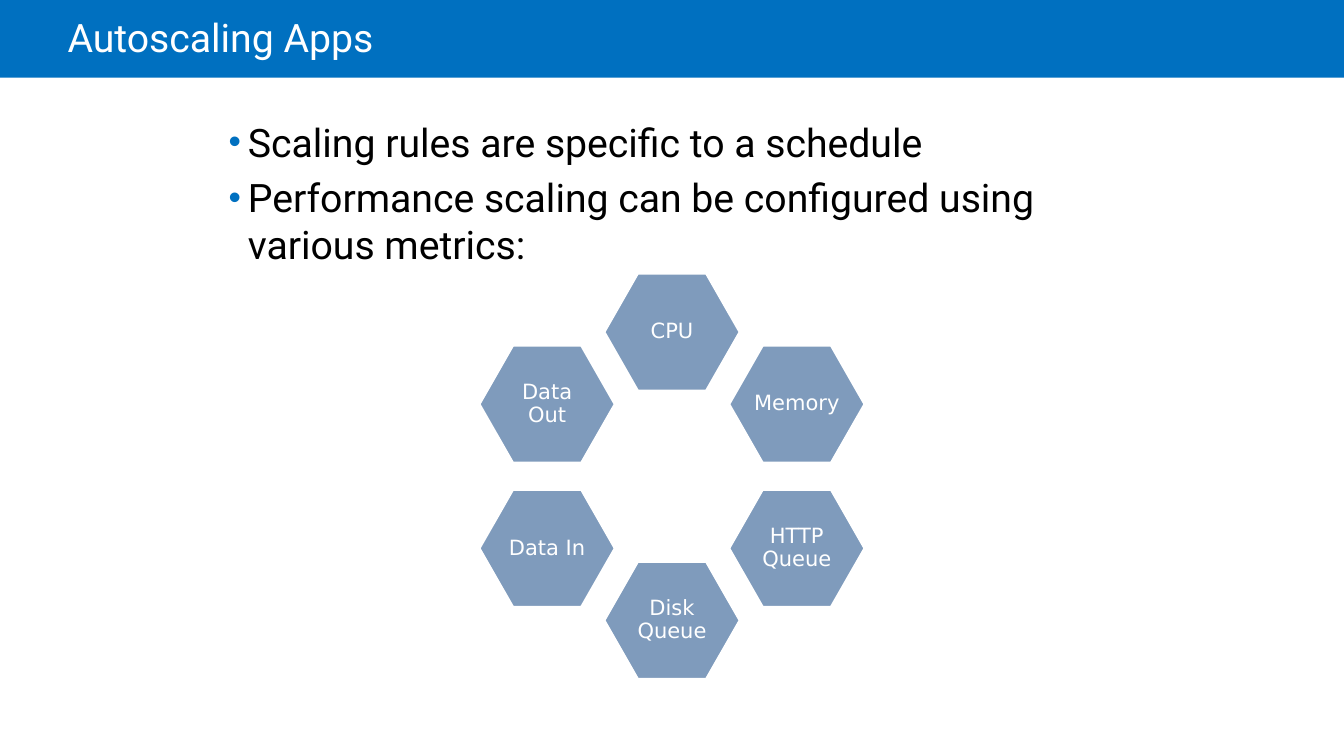
import math

from lxml import etree
from pptx import Presentation
from pptx.dml.color import RGBColor
from pptx.enum.shapes import MSO_SHAPE
from pptx.enum.text import MSO_ANCHOR, PP_ALIGN
from pptx.oxml.ns import qn
from pptx.util import Inches, Pt

RECTANGLE = MSO_SHAPE.RECTANGLE
HEXAGON = MSO_SHAPE.HEXAGON
MIDDLE = MSO_ANCHOR.MIDDLE
CENTER = PP_ALIGN.CENTER

BLUE = RGBColor(0x00, 0x70, 0xC0)
STEEL = RGBColor(0x7F, 0x9B, 0xBC)
WHITE = RGBColor(0xFF, 0xFF, 0xFF)
BLACK = RGBColor(0x00, 0x00, 0x00)

SLIDE_WIDTH, SLIDE_HEIGHT = 13.33, 7.5
RULES = [
    "Scaling rules are specific to a schedule",
    "Performance scaling can be configured using various metrics:",
]
METRICS = ["CPU", "Memory", "HTTP Queue", "Disk Queue", "Data In", "Data Out"]


def add_run(paragraph, text, size, font_name, color):
    run = paragraph.add_run()
    run.text = text
    run.font.size = Pt(size)
    run.font.name = font_name
    run.font.color.rgb = color


def set_margins(frame, left, top, right, bottom):
    frame.margin_left, frame.margin_top = Inches(left), Inches(top)
    frame.margin_right, frame.margin_bottom = Inches(right), Inches(bottom)


def add_filled(slide, preset, left, top, width, height, color):
    shape = slide.shapes.add_shape(
        preset, Inches(left), Inches(top), Inches(width), Inches(height))
    shape.shadow.inherit = False
    shape.fill.solid()
    shape.fill.fore_color.rgb = color
    return shape


def add_bullet(paragraph):
    properties = paragraph._p.get_or_add_pPr()
    properties.set("marL", str(Inches(0.19)))
    properties.set("indent", str(Inches(-0.19)))
    bullet_color = etree.SubElement(properties, qn("a:buClr"))
    etree.SubElement(bullet_color, qn("a:srgbClr"), val=str(BLUE))
    etree.SubElement(properties, qn("a:buSzPct"), val="90000")
    etree.SubElement(properties, qn("a:buFont"), typeface="Arial")
    etree.SubElement(properties, qn("a:buChar"), char="•")


def add_header(slide, left, top, width, height):
    bar = add_filled(slide, RECTANGLE, left, top, width, height, BLUE)
    bar.line.fill.background()
    title = slide.shapes.add_textbox(
        Inches(left + 0.67), Inches(top), Inches(11.34), Inches(height + 0.04))
    frame = title.text_frame
    frame.word_wrap = True
    frame.vertical_anchor = MIDDLE
    set_margins(frame, 0, 0.05, 0.1, 0.05)
    heading = frame.paragraphs[0]
    heading.line_spacing = 0.85
    add_run(heading, "Autoscaling Apps", 28, "Roboto", WHITE)


def add_rules(slide, left, top, width, height):
    body = slide.shapes.add_textbox(
        Inches(left), Inches(top), Inches(width), Inches(height))
    frame = body.text_frame
    frame.word_wrap = True
    for index, rule in enumerate(RULES):
        paragraph = frame.add_paragraph() if index else frame.paragraphs[0]
        add_bullet(paragraph)
        if index:
            paragraph.space_before = Pt(6)
        add_run(paragraph, rule, 28, "Roboto", BLACK)


def add_metric_ring(slide, left, top, width, height):
    hex_width, hex_height = 1.35, 1.17
    radius = (height - hex_height) / 2
    center_x, center_y = left + width / 2, top + height / 2
    for index, metric in enumerate(METRICS):
        angle = 2 * math.pi * index / len(METRICS)
        hexagon = add_filled(
            slide, HEXAGON,
            center_x + radius * math.sin(angle) - hex_width / 2,
            center_y - radius * math.cos(angle) - hex_height / 2,
            hex_width, hex_height, STEEL)
        hexagon.adjustments[0] = 0.286
        hexagon.line.color.rgb = WHITE
        hexagon.line.width = Pt(2)
        frame = hexagon.text_frame
        frame.word_wrap = True
        frame.vertical_anchor = MIDDLE
        set_margins(frame, 0.02, 0.02, 0.02, 0.02)
        label = frame.paragraphs[0]
        label.alignment = CENTER
        label.line_spacing = 0.9
        add_run(label, metric, 15, "DejaVu Sans", WHITE)


def main():
    deck = Presentation()
    deck.slide_width = Inches(SLIDE_WIDTH)
    deck.slide_height = Inches(SLIDE_HEIGHT)
    slide = deck.slides.add_slide(deck.slide_layouts[6])
    add_header(slide, 0, 0, SLIDE_WIDTH, 0.77)
    add_rules(slide, 2.17, 1.12, 8.88, 5.63)
    add_metric_ring(slide, 4.74, 2.71, 3.85, 4.03)
    deck.save("out.pptx")


if __name__ == "__main__":
    main()
